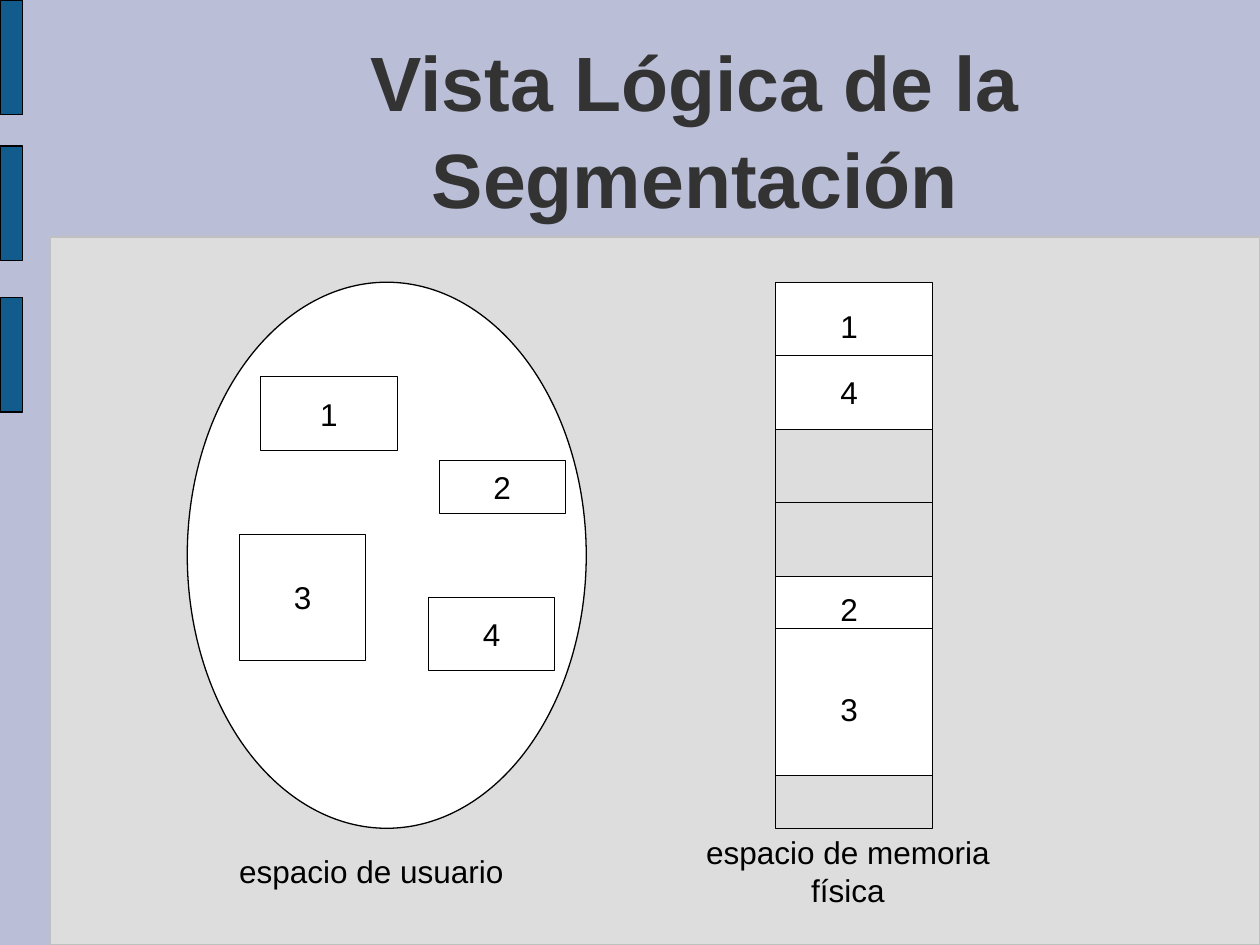
from lxml import etree
from pptx import Presentation
from pptx.dml.color import RGBColor
from pptx.enum.shapes import MSO_CONNECTOR, MSO_SHAPE
from pptx.enum.text import MSO_ANCHOR, PP_ALIGN
from pptx.oxml.ns import qn
from pptx.util import Pt

RECT, OVAL = MSO_SHAPE.RECTANGLE, MSO_SHAPE.OVAL
STRAIGHT = MSO_CONNECTOR.STRAIGHT
MIDDLE, BOTTOM = MSO_ANCHOR.MIDDLE, MSO_ANCHOR.BOTTOM
CENTER = PP_ALIGN.CENTER
FONT = "Arial"
COLORS = {
    "back": "BABED6",
    "panel": "DDDDDD",
    "edge": "C0C0C0",
    "bar": "125C8D",
    "title": "333333",
    "white": "FFFFFF",
    "black": "000000",
}


def color(name):
    return RGBColor.from_string(COLORS[name])


def set_text(shape, text, size=18, ink="black", bold=False, wrap=False,
             anchor=MIDDLE):
    frame = shape.text_frame
    frame.text = text
    frame.word_wrap = wrap
    frame.vertical_anchor = anchor
    para = frame.paragraphs[0]
    para.alignment = CENTER
    font = para.runs[0].font
    font.name, font.size, font.bold = FONT, Pt(size), bold
    font.color.rgb = color(ink)
    return para


def add_box(slide, box, fill="white", edge="black", kind=RECT):
    shape = slide.shapes.add_shape(kind, *map(Pt, box))
    shape.shadow.inherit = False
    shape.fill.solid()
    shape.fill.fore_color.rgb = color(fill)
    shape.line.color.rgb = color(edge)
    shape.line.width = Pt(0.75)
    return shape


def add_label(slide, box, text, **style):
    shape = slide.shapes.add_textbox(*map(Pt, box))
    return set_text(shape, text, **style)


def add_rule(slide, left, right, y):
    line = slide.shapes.add_connector(
        STRAIGHT, Pt(left), Pt(y), Pt(right), Pt(y))
    line.line.color.rgb = color("black")
    line.line.width = Pt(0.75)
    etree.SubElement(line._element.spPr, qn("a:effectLst"))


def add_frame(slide):
    """Background, content panel, side bars and title."""
    slide.background.fill.solid()
    slide.background.fill.fore_color.rgb = color("back")
    add_box(slide, (29, 135.5, 691, 404.5), "panel", "edge")
    for top in (0, 83.5, 170):
        add_box(slide, (0, top, 13, 65.5), "bar")
    title = add_label(slide, (90.5, 16.5, 613.5, 115),
                      "Vista Lógica de la Segmentación", size=44,
                      ink="title", bold=True, wrap=True, anchor=BOTTOM)
    title.line_spacing = 1.05


def add_user(slide):
    """User space: the segments scattered in an ellipse."""
    add_box(slide, (107, 161.3, 228, 312), kind=OVAL)
    segments = {
        "1": (149, 215.3, 78, 42),
        "3": (137, 305.3, 72, 72),
        "2": (251, 263.3, 72, 30),
        "4": (245, 341.3, 72, 42),
    }
    for text, box in segments.items():
        set_text(add_box(slide, box), text)
    add_label(slide, (129.5, 483, 165.5, 29), "espacio de usuario")


def add_memory(slide):
    """Physical memory: one column of used and free blocks."""
    left, width, top = 443, 90, 161.3
    # fill, height, offset of the dividing line
    blocks = [("white", 84, 42), ("panel", 84, 42),
              ("white", 114, 30), ("panel", 30, None)]
    for fill, height, split in blocks:
        add_box(slide, (left, top, width, height), fill)
        if split:
            add_rule(slide, left, left + width, top + split)
        top += height
    for text, y in (("1", 171.5), ("4", 209.5), ("2", 333.5), ("3", 390.5)):
        add_label(slide, (473, y, 24.5, 29), text)
    add_label(slide, (373, 483, 223, 29), "espacio de memoria física")


def main():
    deck = Presentation()
    deck.slide_width, deck.slide_height = Pt(720), Pt(540)
    slide = deck.slides.add_slide(deck.slide_layouts[6])
    add_frame(slide)
    add_user(slide)
    add_memory(slide)
    deck.save("out.pptx")


if __name__ == "__main__":
    main()
